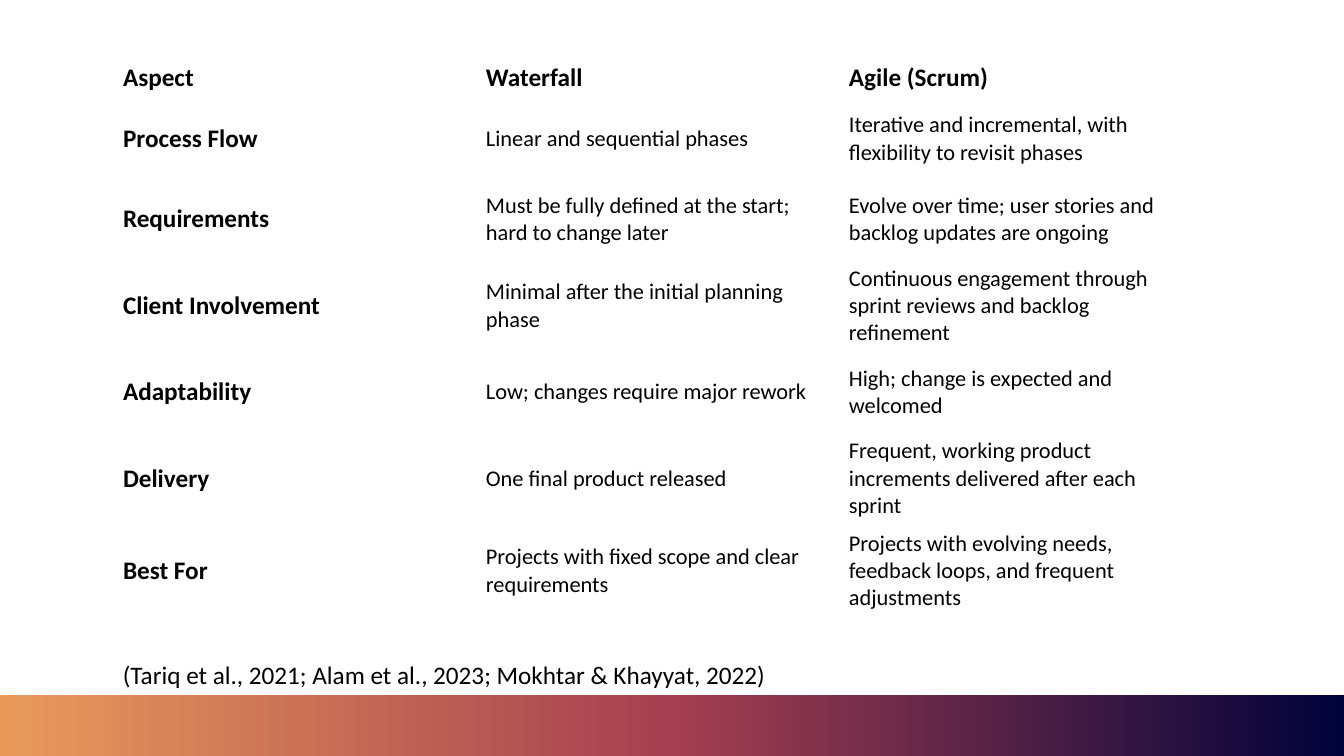
from copy import deepcopy
from dataclasses import dataclass

from pptx import Presentation
from pptx.dml.color import RGBColor
from pptx.enum.shapes import MSO_SHAPE
from pptx.enum.text import MSO_ANCHOR
from pptx.oxml.ns import qn
from pptx.util import Inches, Pt


@dataclass(frozen=True)
class Theme:
    font: str = "Calibri"
    ink: RGBColor = RGBColor(0x00, 0x00, 0x00)
    band: tuple = ("00023A", "A53F51", "E99A5B")
    label_size: Pt = Pt(18)
    detail_size: Pt = Pt(16)


THEME = Theme()

COMPARISON = [
    ("Aspect", "Waterfall", "Agile (Scrum)"),
    ("Process Flow", "Linear and sequential phases",
     "Iterative and incremental, with flexibility to revisit phases"),
    ("Requirements", "Must be fully defined at the start; hard to change later",
     "Evolve over time; user stories and backlog updates are ongoing"),
    ("Client Involvement", "Minimal after the initial planning phase",
     "Continuous engagement through sprint reviews and backlog refinement"),
    ("Adaptability", "Low; changes require major rework",
     "High; change is expected and welcomed"),
    ("Delivery", "One final product released",
     "Frequent, working product increments delivered after each sprint"),
    ("Best For", "Projects with fixed scope and clear requirements",
     "Projects with evolving needs, feedback loops, and frequent adjustments"),
]


def write(frame, text, size, bold=False):
    """Put text in a frame and format it in the theme's font and ink."""
    frame.text = text
    font = frame.paragraphs[0].runs[0].font
    font.name, font.size, font.bold = THEME.font, size, bold
    font.color.rgb = THEME.ink


prs = Presentation()
prs.slide_width, prs.slide_height = Inches(13.33), Inches(7.5)
slide = prs.slides.add_slide(prs.slide_layouts[6])

# Gradient footer band, running from right to left
footer = slide.shapes.add_shape(
    MSO_SHAPE.RECTANGLE, 0, Inches(6.89), prs.slide_width, Inches(0.61))
footer.shadow.inherit = False
footer.line.fill.background()
footer.fill.gradient()
footer.fill.gradient_angle = 180
stop_list = footer._element.spPr.find(qn("a:gradFill")).find(qn("a:gsLst"))
stop_list.append(deepcopy(stop_list[-1]))
for index, (stop, color) in enumerate(zip(footer.fill.gradient_stops, THEME.band)):
    stop.position = index / (len(THEME.band) - 1)
    stop.color.rgb = RGBColor.from_string(color)

# Comparison table
comparison = slide.shapes.add_table(
    len(COMPARISON), len(COMPARISON[0]),
    Inches(1.12), Inches(0.57), Inches(10.8), Inches(5.12)).table
comparison.first_row = comparison.horz_banding = False
for column in comparison.columns:
    column.width = Inches(3.6)
for r, aspect in enumerate(COMPARISON):
    comparison.rows[r].height = Inches(0.8 if r else 0.32)
    for c, text in enumerate(aspect):
        cell = comparison.cell(r, c)
        cell.fill.background()
        cell.vertical_anchor = MSO_ANCHOR.MIDDLE
        is_label = r == 0 or c == 0
        write(cell.text_frame, text,
              THEME.label_size if is_label else THEME.detail_size, is_label)

# Citations
citations = slide.shapes.add_textbox(
    Inches(1.12), Inches(6.49), Inches(6.67), Inches(0.4)).text_frame
citations.word_wrap = True
write(citations, "(Tariq et al., 2021; Alam et al., 2023; Mokhtar & Khayyat, 2022)",
      THEME.label_size)

prs.save("out.pptx")
